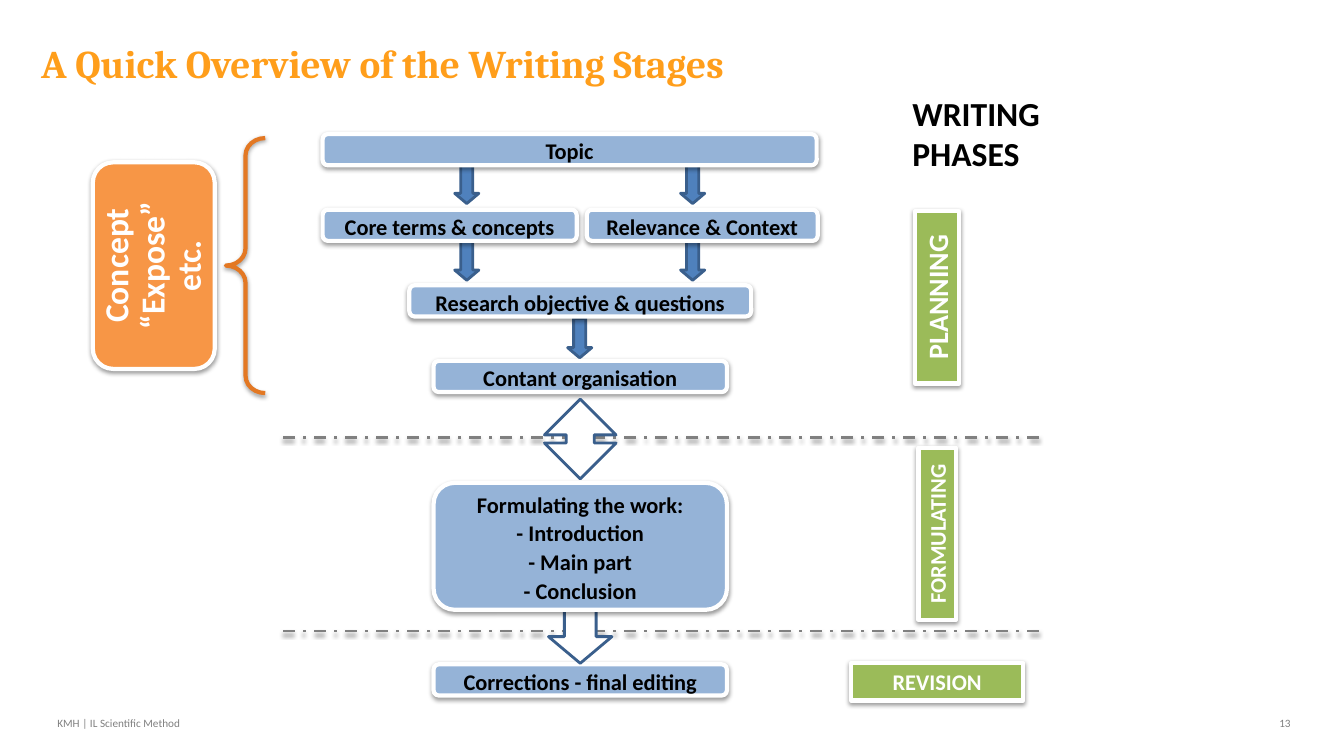
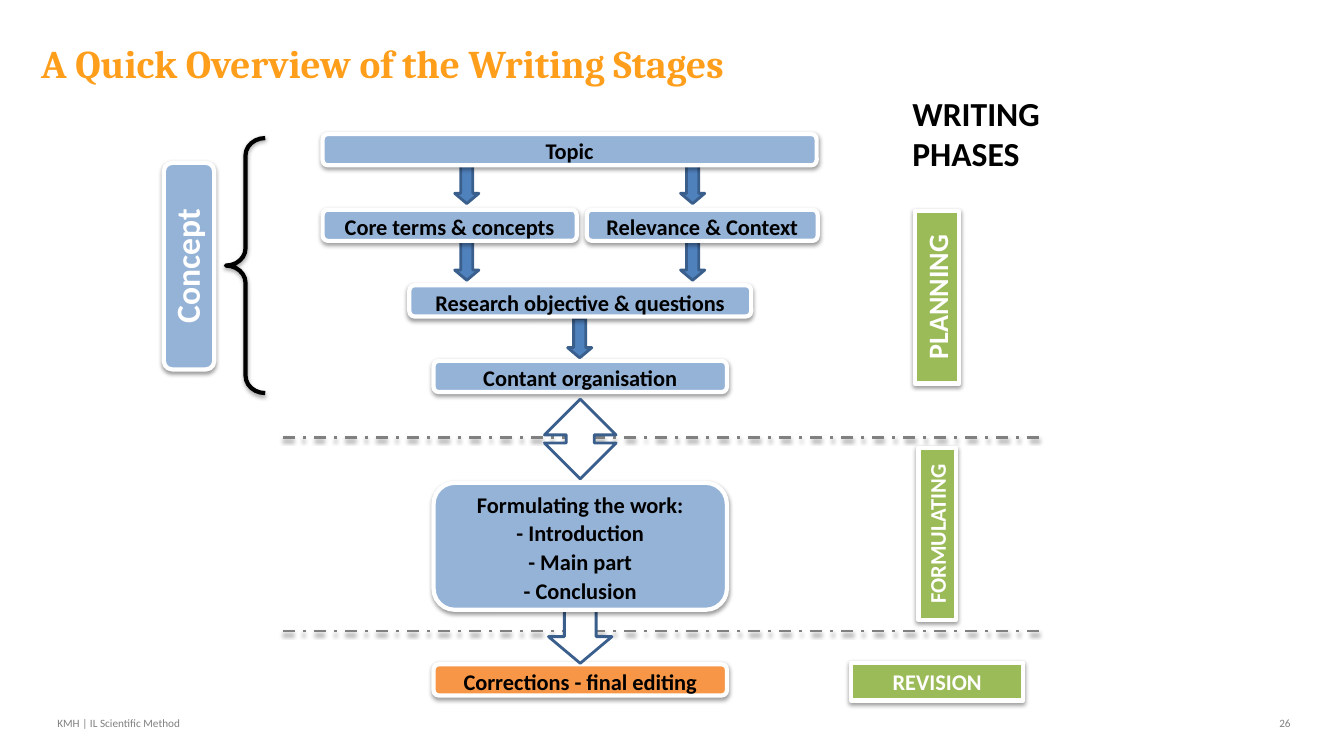
from dataclasses import dataclass
from typing import Optional

from lxml import etree
from pptx import Presentation
from pptx.dml.color import RGBColor
from pptx.enum.dml import MSO_LINE
from pptx.enum.shapes import MSO_CONNECTOR, MSO_SHAPE
from pptx.enum.text import MSO_ANCHOR, PP_ALIGN
from pptx.oxml.ns import qn
from pptx.util import Pt

EMU_PER_PX = 9144
RECTANGLE = MSO_SHAPE.RECTANGLE
ROUNDED = MSO_SHAPE.ROUNDED_RECTANGLE
DOWN_ARROW = MSO_SHAPE.DOWN_ARROW
UP_DOWN_ARROW = MSO_SHAPE.UP_DOWN_ARROW
LEFT_BRACE = MSO_SHAPE.LEFT_BRACE
STRAIGHT = MSO_CONNECTOR.STRAIGHT
DASH_DOT = MSO_LINE.DASH_DOT
TOP, MIDDLE = MSO_ANCHOR.TOP, MSO_ANCHOR.MIDDLE
LEFT, CENTER, RIGHT = PP_ALIGN.LEFT, PP_ALIGN.CENTER, PP_ALIGN.RIGHT

BODY_FONT, TITLE_FONT = "Calibri", "Cambria"
BLACK, WHITE, GRAY = "000000", "FFFFFF", "808080"
TITLE_ORANGE, BRACE_ORANGE, ORANGE = "FF9E1B", "E37823", "F79646"
LIGHT_BLUE, BLUE, DARK_BLUE, GREEN = "95B3D7", "4F81BD", "3A5F8C", "9BBB59"

AXIS = 575
COLUMNS = (463, 687)
ROW_TOPS = [133 + 75 * row for row in range(4)]
ROW_HEIGHT = 31
STAGE_WIDTH = 291
PHASE_LEFT, PHASE_WIDTH = 844, 171
DIVIDER_LEFT, DIVIDER_RIGHT = 281, 1031


@dataclass(frozen=True)
class Box:
    left: int
    top: int
    width: int
    height: int


@dataclass(frozen=True)
class TextStyle:
    size: int
    color: str = BLACK
    bold: bool = True
    font: str = BODY_FONT
    align: int = CENTER
    anchor: int = TOP
    line_spacing: Optional[float] = None


@dataclass(frozen=True)
class Stage:
    text: str
    box: Box


@dataclass(frozen=True)
class Phase:
    text: str
    top: int
    height: int
    size: int
    rotation: int


@dataclass(frozen=True)
class Overview:
    number: int
    concept: str
    concept_box: Box
    concept_fill: str
    brace_color: str
    correction_fill: str


def centered(axis: int, top: int, width: int, height: int) -> Box:
    """Return a box whose middle lies on a vertical axis."""
    return Box(axis - width // 2, top, width, height)


TITLE_STYLE = TextStyle(28, TITLE_ORANGE, font=TITLE_FONT, align=LEFT)
HEADING_STYLE = TextStyle(24, align=LEFT)
FOOTER_STYLE = TextStyle(8, GRAY, bold=False, align=LEFT)
NUMBER_STYLE = TextStyle(8, GRAY, bold=False, align=RIGHT)
STAGE_STYLE = TextStyle(16, line_spacing=0.9)
CONCEPT_STYLE = TextStyle(24, WHITE, anchor=MIDDLE, line_spacing=0.9)

STAGES = [
    Stage("Topic", Box(320, ROW_TOPS[0], 490, ROW_HEIGHT)),
    Stage("Core terms & concepts", Box(320, ROW_TOPS[1], 252, ROW_HEIGHT)),
    Stage("Relevance & Context", Box(582, ROW_TOPS[1], 229, ROW_HEIGHT)),
    Stage("Research objective & questions",
          centered(AXIS, ROW_TOPS[2], 339, ROW_HEIGHT)),
    Stage("Contant organisation",
          centered(AXIS, ROW_TOPS[3], STAGE_WIDTH, ROW_HEIGHT)),
]
CORRECTIONS = Stage("Corrections - final editing",
                    centered(AXIS, 659, STAGE_WIDTH, ROW_HEIGHT))
FORMULATION = Stage(
    "Formulating the work:\n- Introduction\n- Main part\n- Conclusion",
    centered(AXIS, 479, STAGE_WIDTH, 126))
STAGE_ARROWS = [
    centered(column, top, 24, height)
    for top, height in ((156, 46), (239, 39)) for column in COLUMNS
] + [centered(AXIS, 316, 24, 39)]
DIVIDERS = (434, 626)
PHASES = [
    Phase("PLANNING", 273, 44, 20, 270),
    Phase("FORMULATING", 511, 37, 16, 270),
    Phase("REVISION", 658, 37, 16, 0),
]
OVERVIEWS = [
    Overview(13, "Concept\v“Expose” etc.", Box(50, 203, 205, 121),
             ORANGE, BRACE_ORANGE, LIGHT_BLUE),
    Overview(26, "Concept", Box(85, 239, 205, 50),
             LIGHT_BLUE, BLACK, ORANGE),
]


def px(length: int) -> int:
    """Turn pixels into EMU."""
    return length * EMU_PER_PX


def rgb(color: str) -> RGBColor:
    """Turn a hex string into a colour."""
    return RGBColor.from_string(color)


def place(box: Box) -> tuple[int, int, int, int]:
    """Return the position and size of a box in EMU."""
    return px(box.left), px(box.top), px(box.width), px(box.height)


def write(shape, text: str, style: TextStyle) -> None:
    """Fill a shape with styled text."""
    frame = shape.text_frame
    frame.word_wrap = True
    frame.vertical_anchor = style.anchor
    frame.text = text
    for index, paragraph in enumerate(frame.paragraphs):
        paragraph.alignment = style.align
        if style.line_spacing:
            paragraph.line_spacing = style.line_spacing
        if index:
            paragraph.space_before = Pt(style.size * 0.2)
        for run in paragraph.runs:
            run.font.name = style.font
            run.font.size = Pt(style.size)
            run.font.bold = style.bold
            run.font.color.rgb = rgb(style.color)


def add_text(slide, box: Box, text: str, style: TextStyle) -> None:
    """Add a plain text box."""
    write(slide.shapes.add_textbox(*place(box)), text, style)


def add_shadow(shape) -> None:
    """Give a shape or connector a soft shadow below it."""
    properties = shape.element.spPr
    effects = properties.find(qn("a:effectLst"))
    if effects is None:
        effects = etree.SubElement(properties, qn("a:effectLst"))
    shadow = etree.SubElement(effects, qn("a:outerShdw"), blurRad="40000",
                              dist="20000", dir="5400000", rotWithShape="0")
    color = etree.SubElement(shadow, qn("a:srgbClr"), val=BLACK)
    etree.SubElement(color, qn("a:alpha"), val="38000")


def add_outlined(slide, kind: int, box: Box, fill: Optional[str], line: str,
                 width: int, adjustments: tuple[float, ...] = ()):
    """Add a preset shape with a fill and an outline."""
    shape = slide.shapes.add_shape(kind, *place(box))
    shape.shadow.inherit = False
    if fill:
        shape.fill.solid()
        shape.fill.fore_color.rgb = rgb(fill)
    else:
        shape.fill.background()
    shape.line.color.rgb = rgb(line)
    shape.line.width = Pt(width)
    for index, value in enumerate(adjustments):
        shape.adjustments[index] = value
    return shape


def add_card(slide, kind: int, box: Box, fill: str, text: str,
             style: TextStyle, rotation: int = 0) -> None:
    """Add a white-edged card with a shadow and text."""
    card = add_outlined(slide, kind, box, fill, WHITE, 3)
    card.rotation = rotation
    add_shadow(card)
    write(card, text, style)


def add_stage(slide, stage: Stage, fill: str = LIGHT_BLUE) -> None:
    """Add one writing stage."""
    add_card(slide, ROUNDED, stage.box, fill, stage.text, STAGE_STYLE)


def add_arrow(slide, kind: int, box: Box, fill: str, head: float) -> None:
    """Add a block arrow."""
    add_outlined(slide, kind, box, fill, DARK_BLUE, 2, (0.5, head))


def add_divider(slide, top: int) -> None:
    """Add a dashed line between two phases."""
    divider = slide.shapes.add_connector(
        STRAIGHT, px(DIVIDER_LEFT), px(top), px(DIVIDER_RIGHT), px(top))
    divider.line.color.rgb = rgb(GRAY)
    divider.line.width = Pt(2)
    divider.line.dash_style = DASH_DOT
    add_shadow(divider)


def add_frame(slide, number: int) -> None:
    """Add the title, footer and slide number."""
    add_text(slide, Box(47, 706, 399, 24), "KMH | IL Scientific Method",
             FOOTER_STYLE)
    add_text(slide, Box(1234, 706, 56, 24), str(number), NUMBER_STYLE)
    add_text(slide, Box(31, 34, 1215, 50),
             "A Quick Overview of the Writing Stages", TITLE_STYLE)


def add_phases(slide) -> None:
    """Add the phase heading, dividers and labels."""
    for top in DIVIDERS:
        add_divider(slide, top)
    for phase in PHASES:
        add_card(slide, RECTANGLE,
                 Box(PHASE_LEFT, phase.top, PHASE_WIDTH, phase.height), GREEN,
                 phase.text, TextStyle(phase.size, WHITE), phase.rotation)
    add_text(slide, Box(895, 87, 208, 91), "WRITING PHASES", HEADING_STYLE)


def add_overview(presentation, overview: Overview) -> None:
    """Add one slide with the writing stages."""
    slide = presentation.slides.add_slide(presentation.slide_layouts[6])
    add_frame(slide, overview.number)
    for box in STAGE_ARROWS:
        add_arrow(slide, DOWN_ARROW, box, BLUE, 0.42)
    for stage in STAGES:
        add_stage(slide, stage)
    add_stage(slide, CORRECTIONS, overview.correction_fill)
    add_phases(slide)
    add_arrow(slide, UP_DOWN_ARROW, centered(AXIS, 396, 71, 79), WHITE, 0.39)
    add_arrow(slide, DOWN_ARROW, centered(AXIS, 579, 63, 79), WHITE, 0.42)
    add_stage(slide, FORMULATION)
    brace = add_outlined(slide, LEFT_BRACE, Box(224, 137, 39, 253), None,
                         overview.brace_color, 3, (0.44, 0.5))
    add_shadow(brace)
    add_card(slide, ROUNDED, overview.concept_box, overview.concept_fill,
             overview.concept, CONCEPT_STYLE, 270)


def main() -> None:
    """Build and save the presentation."""
    presentation = Presentation()
    presentation.slide_width = px(1333)
    presentation.slide_height = px(750)
    for overview in OVERVIEWS:
        add_overview(presentation, overview)
    presentation.save("out.pptx")


if __name__ == "__main__":
    main()
